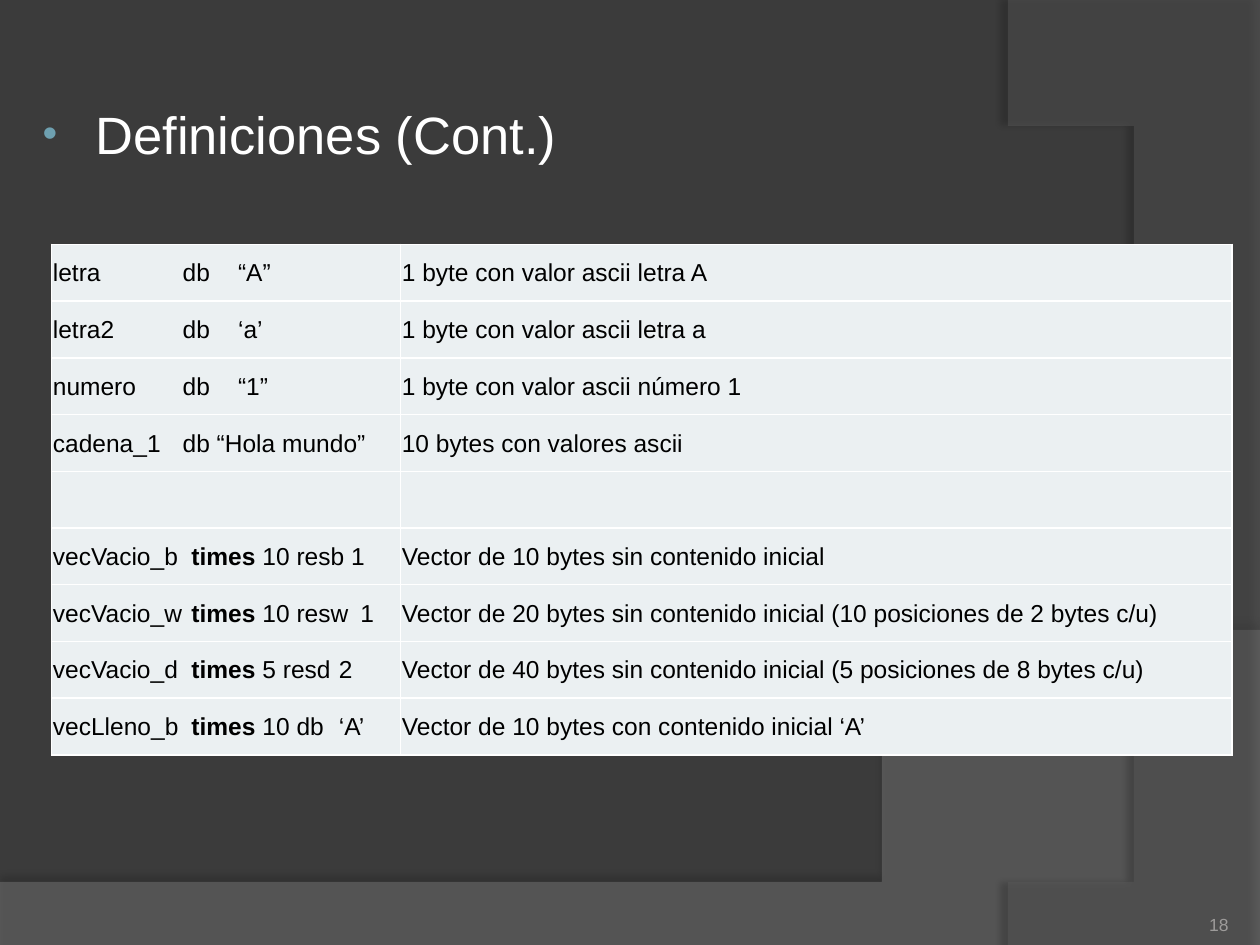
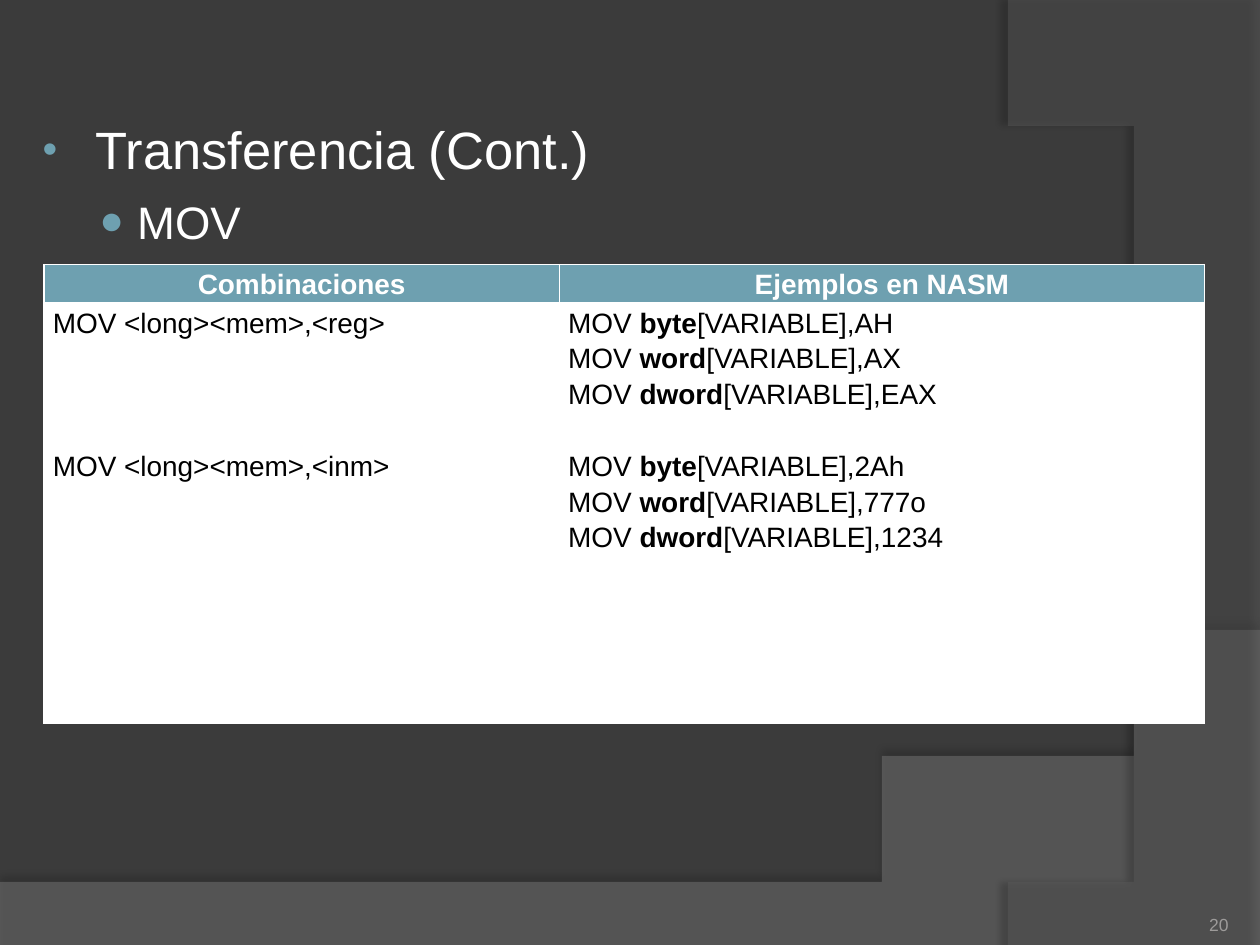
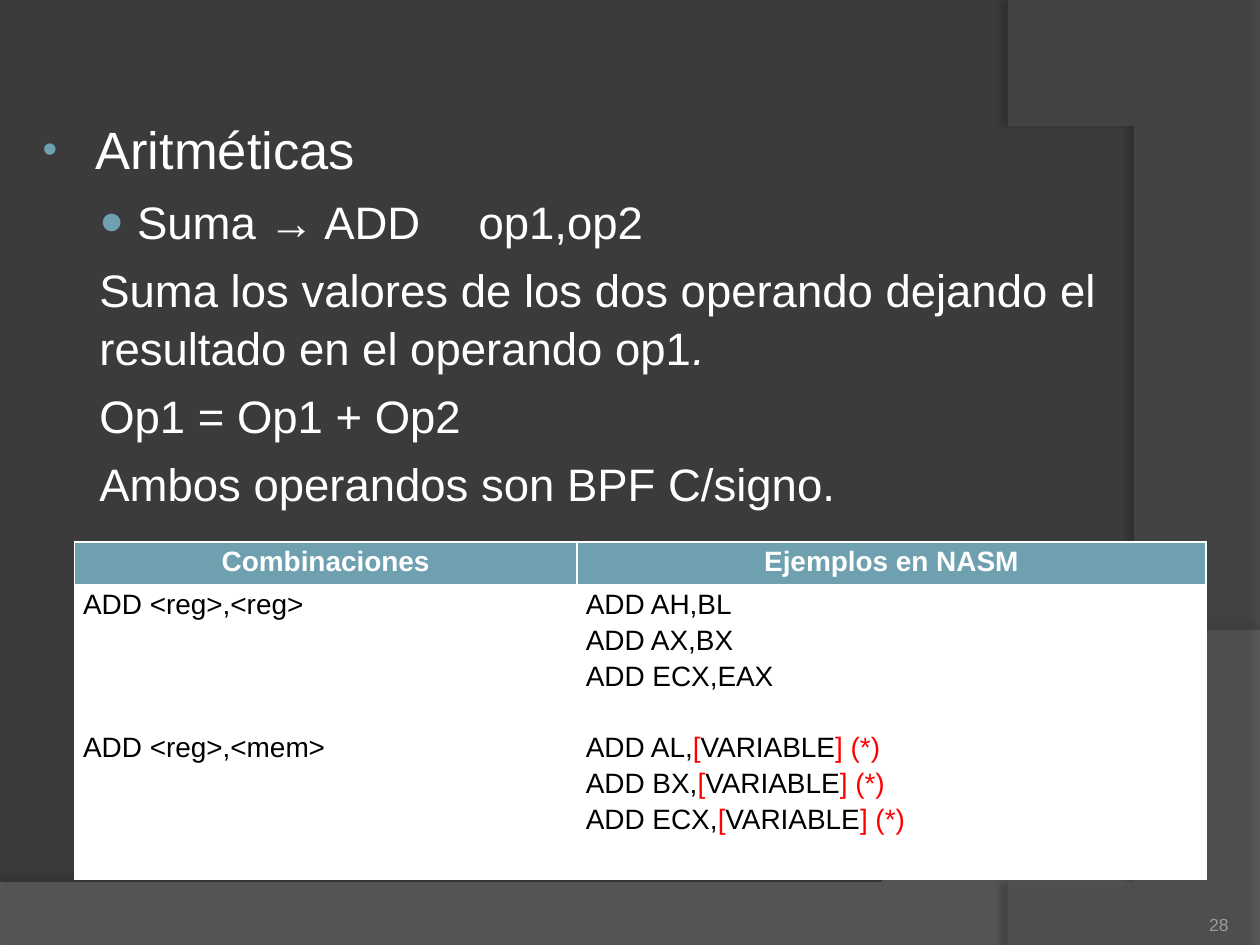
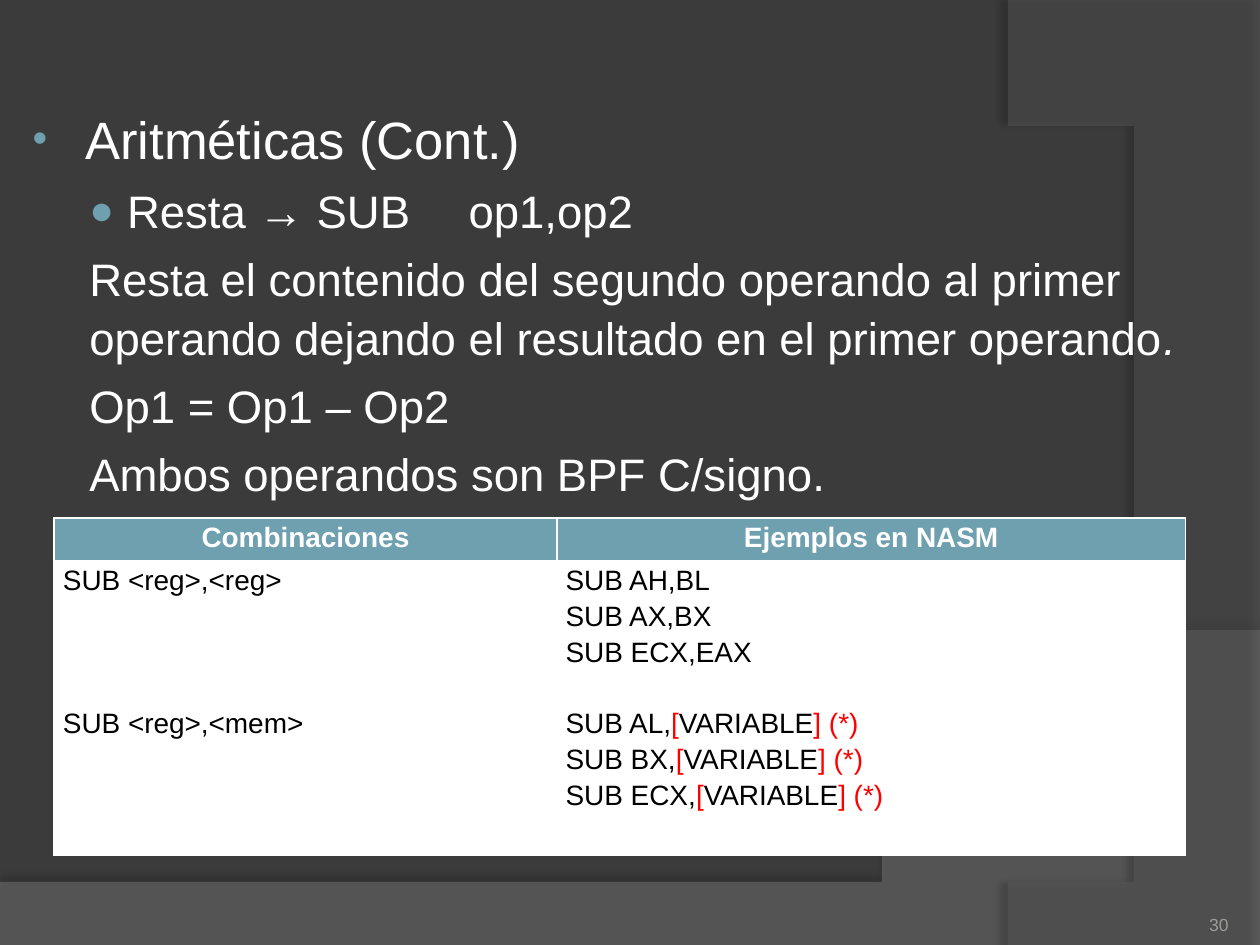
from lxml import etree
from pptx import Presentation
from pptx.dml.color import RGBColor
from pptx.enum.text import MSO_ANCHOR, PP_ALIGN
from pptx.oxml.ns import qn
from pptx.util import Inches, Pt

WHITE = RGBColor(0xFF, 0xFF, 0xFF)
BLACK = RGBColor(0x00, 0x00, 0x00)
RED = RGBColor(0xFF, 0x00, 0x00)
BACKGROUND = RGBColor(0x3B, 0x3B, 0x3B)
WAVE = RGBColor(0x7F, 0x7F, 0x7F)
ARC = RGBColor(0x5E, 0x5E, 0x5E)
ACCENT = RGBColor(0x6E, 0xA0, 0xB0)
PALE = RGBColor(0xEB, 0xF0, 0xF2)
MUTED = RGBColor(0x9D, 0x9B, 0x9A)

LEFT, CENTER, RIGHT, JUSTIFY = PP_ALIGN.LEFT, PP_ALIGN.CENTER, PP_ALIGN.RIGHT, PP_ALIGN.JUSTIFY
TOP, MIDDLE, BOTTOM = MSO_ANCHOR.TOP, MSO_ANCHOR.MIDDLE, MSO_ANCHOR.BOTTOM

FONT = "Arial"
TABLE_LINE = 20.5
DEFINITION_STOPS = (1.03, 1.47)
VECTOR_STOPS = (1.1, 2.27, 2.44)


def add_xml(parent, tag, **attributes):
    return etree.SubElement(parent, qn(tag), {name: str(value) for name, value in attributes.items()})


def bezier(start, control1, control2, end, steps=40):
    points = []
    for step in range(1, steps + 1):
        t = step / steps
        weights = ((1 - t) ** 3, 3 * t * (1 - t) ** 2, 3 * t * t * (1 - t), t ** 3)
        corners = (start, control1, control2, end)
        points.append(tuple(sum(w * c[axis] for w, c in zip(weights, corners)) for axis in (0, 1)))
    return points


class Deck:
    def __init__(self):
        self.prs = Presentation()
        self.prs.slide_width = Inches(10)
        self.prs.slide_height = Inches(7.5)
        self.slide = None

    def new_slide(self, number, heading, items, left, top):
        self.slide = self.prs.slides.add_slide(self.prs.slide_layouts[6])
        fill = self.slide.background.fill
        fill.solid()
        fill.fore_color.rgb = BACKGROUND
        wave = [(0, 7.05), (0, 7.5), (10, 7.5), (10, 5.2)]
        self.band(wave + bezier((10, 5.2), (5.59, 7.29), (3.91, 7.19), (0, 7.05)), WAVE, 45, 35, 3.5, 270)
        arc = [(10, 0.02), (10, 7.5), (8.21, 7.5)]
        self.band(arc + bezier((8.21, 7.5), (9.35, 6.19), (10.18, 3), (8, 0)), ARC, 40, 45, 4, 180)
        self.body(heading, items, left, top)
        self.page_number(number)

    def band(self, points, color, opacity, shadow_opacity, distance, angle):
        builder = self.slide.shapes.build_freeform(*points[0], scale=Inches(1))
        builder.add_line_segments(points[1:], close=True)
        outline = builder.convert_to_shape()
        outline.shadow.inherit = False
        outline.line.fill.background()
        outline.fill.solid()
        outline.fill.fore_color.rgb = color
        properties = outline.element.spPr
        add_xml(properties.find(qn("a:solidFill"))[0], "a:alpha", val=opacity * 1000)
        shadow = add_xml(properties.find(qn("a:effectLst")), "a:outerShdw", blurRad=Pt(4),
                         dist=Pt(distance), dir=angle * 60000, algn="ctr", rotWithShape=0)
        add_xml(add_xml(shadow, "a:srgbClr", val=BLACK), "a:alpha", val=shadow_opacity * 1000)

    def text_box(self, left, top, width, height):
        frame = self.slide.shapes.add_textbox(Inches(left), Inches(top), Inches(width), Inches(height)).text_frame
        frame.word_wrap = True
        return frame

    def style(self, run, size, color, bold=False, italic=False):
        run.font.name = FONT
        run.font.size = Pt(size)
        run.font.color.rgb = color
        run.font.bold = bold
        run.font.italic = italic

    def bullet(self, paragraph, char, percent, margin, indent):
        properties = paragraph._p.get_or_add_pPr()
        properties.set("marL", str(Inches(margin)))
        properties.set("indent", str(Inches(indent)))
        if char:
            add_xml(add_xml(properties, "a:buClr"), "a:srgbClr", val=ACCENT)
            add_xml(properties, "a:buSzPct", val=percent * 1000)
            add_xml(properties, "a:buFont", typeface=FONT)
            add_xml(properties, "a:buChar", char=char)
        else:
            add_xml(properties, "a:buNone")

    def body(self, heading, items, left, top):
        frame = self.text_box(left, top, 9.61, 5.78)
        title = frame.paragraphs[0]
        self.bullet(title, "•", 80, 0.46, -0.42)
        title.text = heading
        title.line_spacing = 1.08
        self.style(title.runs[0], 30, WHITE)
        for index, item in enumerate(items):
            paragraph = frame.add_paragraph()
            if index == 0:
                self.bullet(paragraph, "●", 90, 0.79, -0.3)
            else:
                self.bullet(paragraph, None, 0, 0.49, 0)
            paragraph.level = 1
            paragraph.line_spacing = 1.08
            paragraph.space_before = Pt(5.2)
            segments = item if isinstance(item, tuple) else (item,)
            for position, text in enumerate(segments):
                run = paragraph.add_run()
                run.text = text
                self.style(run, 26, WHITE, italic=position > 0)

    def page_number(self, number):
        frame = self.text_box(8.92, 7.02, 0.83, 0.4)
        frame.margin_left = frame.margin_top = frame.margin_right = frame.margin_bottom = 0
        frame.vertical_anchor = BOTTOM
        frame.text = str(number)
        frame.paragraphs[0].alignment = RIGHT
        self.style(frame.paragraphs[0].runs[0], 10, MUTED)

    def grid(self, left, top, columns, rows):
        table = self.slide.shapes.add_table(len(rows), len(columns), Inches(left), Inches(top),
                                            Inches(sum(columns)), Inches(sum(rows))).table
        table.first_row = table.horz_banding = False
        for column, width in zip(table.columns, columns):
            column.width = Inches(width)
        for row, height in zip(table.rows, rows):
            row.height = Inches(height)
        return table

    def cell(self, cell, fill, margins, anchor):
        cell.fill.solid()
        cell.fill.fore_color.rgb = fill
        cell.margin_left, cell.margin_top, cell.margin_right, cell.margin_bottom = map(Inches, margins)
        cell.vertical_anchor = anchor
        properties = cell._tc.get_or_add_tcPr()
        for index, side in enumerate(("a:lnL", "a:lnR", "a:lnT", "a:lnB")):
            border = add_xml(properties, side, w=Pt(1))
            add_xml(add_xml(border, "a:solidFill"), "a:srgbClr", val=WHITE)
            properties.insert(index, border)

    def cell_line(self, paragraph, segments, size, align, color=BLACK, bold=False, stops=()):
        if stops:
            tabs = add_xml(paragraph._p.get_or_add_pPr(), "a:tabLst")
            for stop in stops:
                add_xml(tabs, "a:tab", pos=Inches(stop), algn="l")
        paragraph.alignment = align
        for text, mark in segments:
            run = paragraph.add_run()
            run.text = text
            self.style(run, size, RED if mark == "red" else color, bold or mark == "bold")

    def definitions(self, left, top, rows):
        table = self.grid(left, top, (2.77, 6.6), [0.45] * len(rows))
        for row, (code, meaning, stops) in enumerate(rows):
            for column, segments in enumerate((code, [(meaning, "")])):
                cell = table.cell(row, column)
                self.cell(cell, PALE, (0.01, 0.01, 0.01, 0), MIDDLE)
                if meaning:
                    self.cell_line(cell.text_frame.paragraphs[0], segments, 14, JUSTIFY,
                                   stops=() if column else stops)

    def combinations(self, left, top, columns, rows, forms, examples):
        table = self.grid(left, top, columns, rows)
        margins = (0.07, 0, 0.07, 0)
        for column, heading in enumerate(("Combinaciones", "Ejemplos en NASM")):
            cell = table.cell(0, column)
            self.cell(cell, ACCENT, margins, TOP)
            paragraph = cell.text_frame.paragraphs[0]
            paragraph.line_spacing = 1.15
            self.cell_line(paragraph, [(heading, "")], 16, CENTER, WHITE, True)
        form_groups = [[[(form, "")]] for form in forms]
        for column, groups in enumerate((form_groups, examples)):
            cell = table.cell(1, column)
            self.cell(cell, WHITE, margins, TOP)
            frame = cell.text_frame
            for group_index, group in enumerate(groups):
                for line_index, segments in enumerate(group):
                    first = group_index == line_index == 0
                    paragraph = frame.paragraphs[0] if first else frame.add_paragraph()
                    paragraph.line_spacing = 1.15
                    if group_index and line_index == 0:
                        paragraph.space_before = Pt(TABLE_LINE * (4 - len(groups[0])))
                    self.cell_line(paragraph, segments, 16, LEFT)

    def arithmetic(self, number, heading, name, mnemonic, description, sign, corner, table_corner):
        self.new_slide(number, heading, [
            f"{name} → {mnemonic}\top1,op2",
            (description, "."),
            f"Op1 = Op1 {sign} Op2",
            "Ambos operandos son BPF C/signo.",
        ], *corner)
        registers = [[(f"{mnemonic} {pair}", "")] for pair in ("AH,BL", "AX,BX", "ECX,EAX")]
        memory = [[(f"{mnemonic} {register},", ""), ("[", "red"), ("VARIABLE", ""), ("] (*)", "red")]
                  for register in ("AL", "BX", "ECX")]
        self.combinations(*table_corner, (3.99, 4.99), (0.34, 2.34),
                          [f"{mnemonic} <reg>,<reg>", f"{mnemonic} <reg>,<mem>"], [registers, memory])


def moves(values):
    return [[("MOV ", ""), (size, "bold"), (f"[VARIABLE],{value}", "")]
            for size, value in zip(("byte", "word", "dword"), values)]


def constant(code, meaning):
    return [(code, "")], meaning, DEFINITION_STOPS


def vector(name, amount, meaning):
    return [(f"{name}\t", ""), ("times ", "bold"), (amount, "")], meaning, VECTOR_STOPS


def main():
    deck = Deck()

    deck.new_slide(18, "Definiciones (Cont.)", [], 0.2, 0.72)
    deck.definitions(0.41, 1.94, [
        constant("letra\tdb\t“A”", "1 byte con valor ascii letra A"),
        constant("letra2\tdb\t‘a’", "1 byte con valor ascii letra a"),
        constant("numero\tdb\t“1”", "1 byte con valor ascii número 1"),
        constant("cadena_1\tdb “Hola mundo”", "10 bytes con valores ascii"),
        ([], "", ()),
        vector("vecVacio_b", "10 resb 1", "Vector de 10 bytes sin contenido inicial"),
        vector("vecVacio_w", "10 resw\t1",
               "Vector de 20 bytes sin contenido inicial (10 posiciones de 2 bytes c/u)"),
        vector("vecVacio_d", "5 resd\t2",
               "Vector de 40 bytes sin contenido inicial (5 posiciones de 8 bytes c/u)"),
        vector("vecLleno_b", "10 db\t‘A’", "Vector de 10 bytes con contenido inicial ‘A’"),
    ])

    deck.new_slide(20, "Transferencia (Cont.)", ["MOV"], 0.2, 0.84)
    deck.combinations(0.35, 2.1, (4.09, 5.12), (0.29, 3.33),
                      ["MOV <long><mem>,<reg>", "MOV <long><mem>,<inm>"],
                      [moves(("AH", "AX", "EAX")), moves(("2Ah", "777o", "1234"))])

    deck.arithmetic(28, "Aritméticas", "Suma", "ADD",
                    "Suma los valores de los dos operando dejando el resultado en el operando op1",
                    "+", (0.2, 0.84), (0.59, 4.3))
    deck.arithmetic(30, "Aritméticas (Cont.)", "Resta", "SUB",
                    "Resta el contenido del segundo operando al primer operando dejando el resultado "
                    "en el primer operando",
                    "–", (0.12, 0.76), (0.43, 4.11))

    deck.prs.save("out.pptx")


if __name__ == "__main__":
    main()
